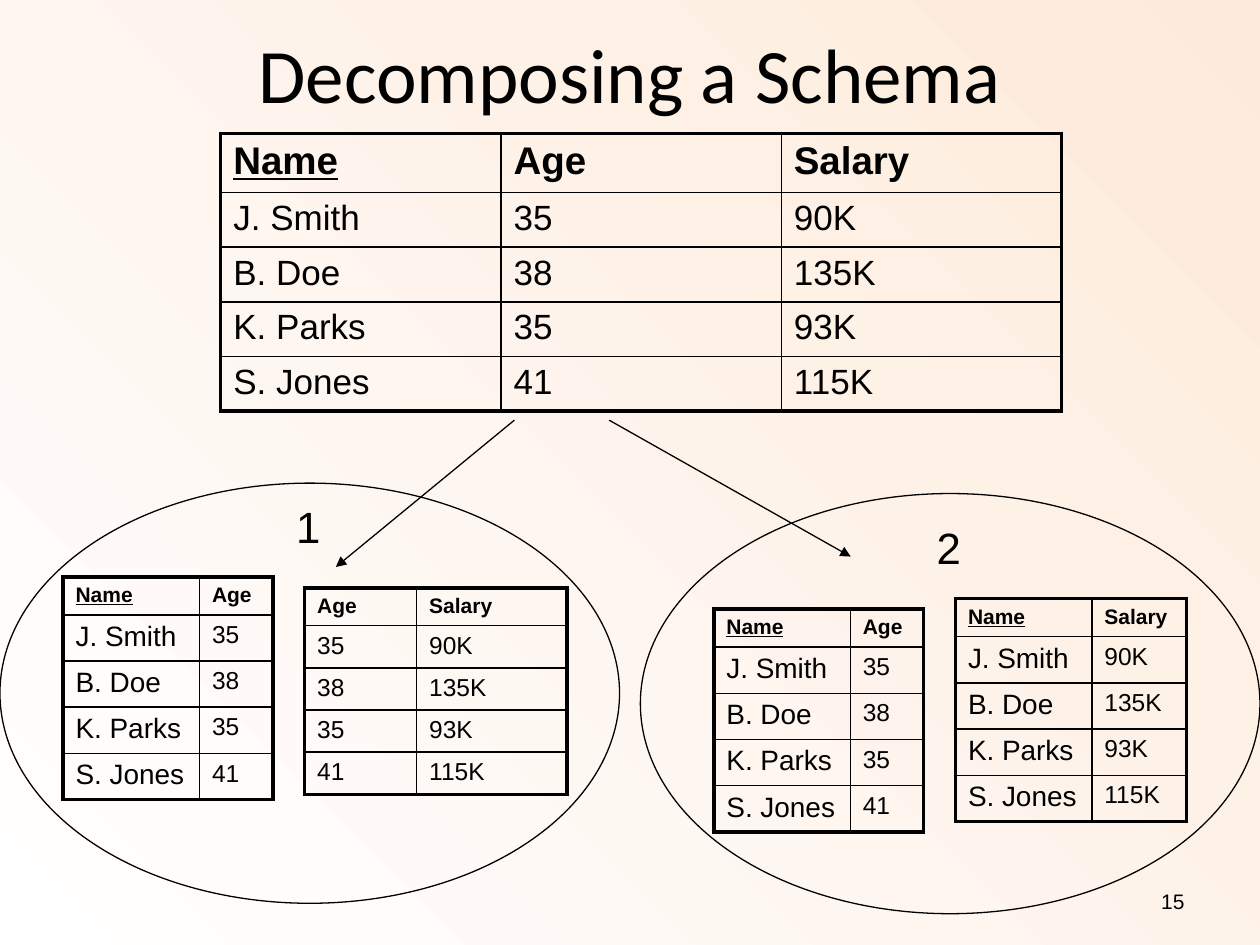
"""Builds the slide that shows two ways of decomposing a schema."""
from pptx import Presentation
from pptx.dml.color import RGBColor
from pptx.enum.shapes import MSO_CONNECTOR, MSO_SHAPE
from pptx.enum.text import MSO_ANCHOR, PP_ALIGN
from pptx.oxml import parse_xml
from pptx.oxml.ns import nsdecls
from pptx.util import Cm, Pt

COLORS = {"ink": "000000", "paper": "FFFFFF", "peach": "FDEADA"}
TITLE = "Decomposing a Schema"
PAGE_NUMBER = "15"
KEY = "Name"
PEOPLE = {
    "Name": ["J. Smith", "B. Doe", "K. Parks", "S. Jones"],
    "Age": ["35", "38", "35", "41"],
    "Salary": ["90K", "135K", "93K", "115K"],
}
LARGE = {"header": 22, "key": 20, "value": 20}
SMALL = {"header": 12, "key": 16, "value": 14}
TABLES = [
    {"at": (4.45, 2.69), "columns": {"Name": 5.65, "Age": 5.65, "Salary": 5.65},
     "rows": (1.19, 1.09), "sizes": LARGE},
    {"at": (1.27, 11.63), "columns": {"Name": 2.75, "Age": 1.48},
     "rows": (0.76, 0.93), "sizes": SMALL},
    {"at": (6.14, 11.85), "columns": {"Age": 2.26, "Salary": 3.03},
     "rows": (0.76, 0.85), "sizes": SMALL},
    {"at": (14.39, 12.28), "columns": {"Name": 2.75, "Age": 1.48},
     "rows": (0.76, 0.93), "sizes": SMALL},
    {"at": (19.26, 12.07), "columns": {"Name": 2.75, "Salary": 1.91},
     "rows": (0.76, 0.93), "sizes": SMALL},
]
OPTIONS = [
    {"label": "1", "ellipse": (0, 9.74), "label_at": (5.72, 9.95),
     "arrow": (10.37, 8.47, 6.77, 11.43)},
    {"label": "2", "ellipse": (12.91, 9.95), "label_at": (18.63, 10.37),
     "arrow": (12.28, 8.47, 17.15, 11.22)},
]
ELLIPSE_SIZE = (12.49, 8.47)
LABEL_SIZE = (1.69, 1.32)
OUTER, INNER, THIN = 2.25, 1, 0.75


def lengths(*values):
    return [Cm(value) for value in values]


def apply(target, values):
    for name, value in values.items():
        setattr(target, name, value)


def write(frame, text, size, name="Arial", align=PP_ALIGN.LEFT, **extra):
    para = frame.paragraphs[0]
    para.alignment = align
    span = para.add_run()
    span.text = text
    apply(span.font, {"size": Pt(size), "name": name, **extra})
    span.font.color.rgb = RGBColor.from_string(COLORS["ink"])


def paint_background(page):
    fill = page.background.fill
    fill.gradient()
    for stop, color in zip(fill.gradient_stops, ("paper", "peach")):
        stop.color.rgb = RGBColor.from_string(COLORS[color])
    linear = page.background._cSld.xpath(".//a:lin")[0]
    linear.getparent().replace(linear, parse_xml(
        f'<a:path {nsdecls("a")} path="circle">'
        '<a:fillToRect l="0" t="100000" r="100000" b="0"/></a:path>'))


def add_text(page, area, text, size, anchor=MSO_ANCHOR.TOP, align=PP_ALIGN.LEFT):
    frame = page.shapes.add_textbox(*lengths(*area)).text_frame
    apply(frame, {"word_wrap": True, "vertical_anchor": anchor})
    write(frame, text, size, align=align)


def set_line(shape):
    shape.line.color.rgb = RGBColor.from_string(COLORS["ink"])
    shape.line.width = Pt(THIN)


def add_borders(cell, widths):
    properties = cell._tc.get_or_add_tcPr()
    for side, width in widths.items():
        properties.append(parse_xml(
            f'<a:ln{side} {nsdecls("a")} w="{Pt(width)}"><a:solidFill>'
            f'<a:srgbClr val="{COLORS["ink"]}"/></a:solidFill></a:ln{side}>'))


def add_people_table(page, item):
    columns, sizes = item["columns"], item["sizes"]
    header, body = item["rows"]
    heights = [header] + [body] * len(PEOPLE[KEY])
    last_row, last_column = len(heights) - 1, len(columns) - 1
    area = lengths(*item["at"], sum(columns.values()), sum(heights))
    table = page.shapes.add_table(len(heights), len(columns), *area).table
    apply(table, {"first_row": False, "horz_banding": False})
    for row, height in zip(table.rows, heights):
        row.height = Cm(height)
    for j, (heading, width) in enumerate(columns.items()):
        table.columns[j].width = Cm(width)
        for i, text in enumerate([heading] + PEOPLE[heading]):
            cell = table.cell(i, j)
            role = "header" if i == 0 else "key" if heading == KEY else "value"
            write(cell.text_frame, text, sizes[role], bold=i == 0,
                  underline=i == 0 and heading == KEY)
            edges = {"L": j == 0, "R": j == last_column,
                     "T": i == 0, "B": i == last_row}
            add_borders(cell, {side: OUTER if edge else INNER
                               for side, edge in edges.items()})
            cell.fill.background()


def add_option(page, option):
    arrow = page.shapes.add_connector(
        MSO_CONNECTOR.STRAIGHT, *lengths(*option["arrow"]))
    set_line(arrow)
    arrow.line._get_or_add_ln().append(
        parse_xml(f'<a:tailEnd {nsdecls("a")} type="triangle"/>'))
    arrow._element.spPr.append(parse_xml(f'<a:effectLst {nsdecls("a")}/>'))
    ellipse = page.shapes.add_shape(
        MSO_SHAPE.OVAL, *lengths(*option["ellipse"], *ELLIPSE_SIZE))
    ellipse.shadow.inherit = False
    ellipse.fill.background()
    set_line(ellipse)
    add_text(page, option["label_at"] + LABEL_SIZE, option["label"], 25)


def main():
    deck = Presentation()
    apply(deck, {"slide_width": Cm(25.4), "slide_height": Cm(19.05)})
    page = deck.slides.add_slide(deck.slide_layouts[5])
    paint_background(page)
    title = page.shapes.title
    apply(title, dict(zip(("left", "top", "width", "height"),
                          lengths(1.27, 0.2, 22.86, 2.54))))
    title.text_frame.vertical_anchor = MSO_ANCHOR.MIDDLE
    write(title.text_frame, TITLE, 44, "Calibri", PP_ALIGN.CENTER)
    for option in OPTIONS:
        add_option(page, option)
    for item in TABLES:
        add_people_table(page, item)
    add_text(page, (18.2, 17.65, 5.93, 1.02), PAGE_NUMBER, 12,
             MSO_ANCHOR.MIDDLE, PP_ALIGN.RIGHT)
    deck.save("out.pptx")


if __name__ == "__main__":
    main()
